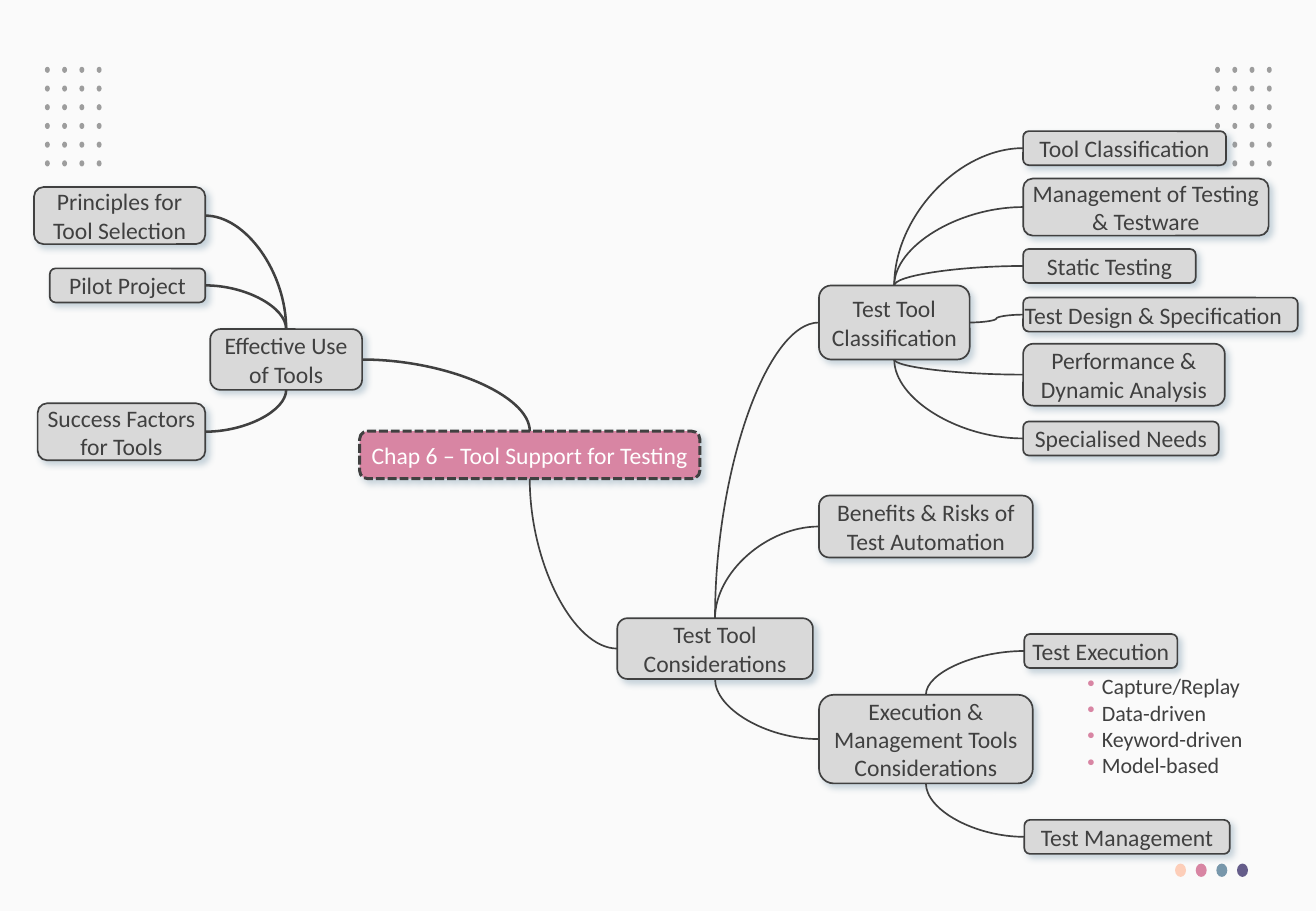
from itertools import product

from lxml import etree
from pptx import Presentation
from pptx.dml.color import RGBColor
from pptx.enum.dml import MSO_LINE
from pptx.enum.shapes import MSO_CONNECTOR, MSO_SHAPE
from pptx.enum.text import MSO_ANCHOR, PP_ALIGN
from pptx.oxml.ns import qn
from pptx.util import Inches, Pt

OVAL, ROUND = MSO_SHAPE.OVAL, MSO_SHAPE.ROUNDED_RECTANGLE
CURVE = MSO_CONNECTOR.CURVE
DASH = MSO_LINE.SQUARE_DOT
LEFT, CENTER = PP_ALIGN.LEFT, PP_ALIGN.CENTER
MIDDLE = MSO_ANCHOR.MIDDLE
SITE = {"top": 0, "left": 1, "bottom": 2, "right": 3}

HEX = {
    "back": "FAFAFA", "dot": "9D9D9D", "ink": "404040", "node": "D9D9D9",
    "white": "FFFFFF", "peach": "FDCEB9", "rose": "D885A3",
    "steel": "7897AB", "plum": "655D8A",
}
FONT = "Calibri"
CELL = 0.1  # inches per grid column and row
COLS, ROWS = 108.3, 75


def grid(*cells):
    return [Inches(n * CELL) for n in cells]


def color(name):
    return RGBColor.from_string(HEX[name])


def write(para, text, size, tint):
    run = para.add_run()
    run.text = text
    run.font.name, run.font.size = FONT, Pt(size)
    run.font.color.rgb = color(tint)


def shade(shape):
    shape.shadow.inherit = False
    effects = shape._element.spPr.find(qn("a:effectLst"))
    outer = etree.SubElement(
        effects, qn("a:outerShdw"), blurRad=str(Pt(4)), dist=str(Pt(3)),
        dir=str(45 * 60000), algn="tl", rotWithShape="0")
    tint = etree.SubElement(outer, qn("a:srgbClr"), val=HEX["steel"])
    etree.SubElement(tint, qn("a:alpha"), val="40000")


def node(slide, box, text, fill="node", ink="ink", align=CENTER):
    shape = slide.shapes.add_shape(ROUND, *grid(*box))
    shape.fill.solid()
    shape.fill.fore_color.rgb = color(fill)
    shape.line.color.rgb = color("ink")
    shape.line.width = Pt(1)
    shade(shape)
    frame = shape.text_frame
    frame.word_wrap = True
    frame.vertical_anchor = MIDDLE
    frame.margin_left = frame.margin_right = 0
    frame.margin_top = frame.margin_bottom = Inches(0.04)
    frame.paragraphs[0].alignment = align
    write(frame.paragraphs[0], text, 14, ink)
    return shape


def link(slide, child, hub):
    """Curve from the child's near side to the side of the hub it faces."""
    dx = child.left + child.width / 2 - hub.left - hub.width / 2
    dy = child.top + child.height / 2 - hub.top - hub.height / 2
    start, face = ("left", "right") if dx > 0 else ("right", "left")
    level = abs(dy) < Inches(CELL)
    end = face if level else "bottom" if dy > 0 else "top"
    line = slide.shapes.add_connector(CURVE, 0, 0, 0, 0)
    line.begin_connect(child, SITE[start])
    line.end_connect(hub, SITE[end])
    line.line.color.rgb = color("ink")
    line.line.width = Pt(1 if dx > 0 else 1.5)
    props = line._element.spPr
    if not level:
        props.find(qn("a:prstGeom")).set("prst", "curvedConnector2")
    etree.SubElement(props, qn("a:effectLst"))


def branch(slide, spot, core, edge, leaves, side=1):
    """Hub with leaves lined up on one edge; side -1 puts them to its left."""
    left, top = spot
    x, y, wide, high, text = core
    hub = node(slide, (left + x, top + y, wide, high), text)
    for y, wide, high, text, align in leaves:
        x = left + edge - (wide if side < 0 else 0)
        leaf = node(slide, (x, top + y, wide, high), text, align=align)
        link(slide, leaf, hub)
    return hub


def dots(slide, spot, pitch, size, tints, skip=()):
    """Group of dots; tints is a list of rows of colour names."""
    group = slide.shapes.add_group_shape()
    for row, col in product(range(len(tints)), range(len(tints[0]))):
        if (row, col) in skip:
            continue
        place = (spot[0] + col * pitch[0], spot[1] + row * pitch[1])
        dot = group.shapes.add_shape(OVAL, *grid(*place, *size))
        dot.fill.solid()
        dot.fill.fore_color.rgb = color(tints[row][col])
        dot.line.fill.background()
        dot.shadow.inherit = False


def bullets(slide, box, items):
    frame = slide.shapes.add_textbox(*grid(*box)).text_frame
    frame.word_wrap = True
    for i, item in enumerate(items):
        para = frame.add_paragraph() if i else frame.paragraphs[0]
        props = para._p.get_or_add_pPr()
        props.set("marL", str(Inches(0.12)))
        props.set("indent", str(-Inches(0.12)))
        tint = etree.SubElement(props, qn("a:buClr"))
        etree.SubElement(tint, qn("a:srgbClr"), val=HEX["rose"])
        etree.SubElement(props, qn("a:buChar"), char="•")
        write(para, item, 13, "ink")


def decor(slide):
    field = [["dot"] * 4] * 6
    dots(slide, (3.7, 5.5), (1.42, 1.54), (0.4, 0.5), field)
    dots(slide, (100, 5.5), (1.42, 1.54), (0.4, 0.5), field, skip={(4, 0)})
    dots(slide, (96.7, 71.1), (1.7, 0), (0.9, 1.1),
         [["peach", "rose", "steel", "plum"]])


def mind_map(slide):
    root = node(slide, (29.6, 35.5, 28, 3.9),
                "Chap 6 – Tool Support for Testing", "rose", "white")
    root.line.width = Pt(1.75)
    root.line.dash_style = DASH

    usage = branch(slide, (2.8, 15.4),
                   (14.5, 11.7, 12.5, 5, "Effective Use of Tools"), 14.1, [
        (0, 14.1, 4.7, "Principles for Tool Selection", CENTER),
        (6.7, 12.8, 2.8, "Pilot Project", CENTER),
        (17.8, 13.8, 4.7, "Success Factors for Tools", CENTER),
    ], side=-1)

    kinds = branch(slide, (67.4, 10.8),
                   (0, 12.7, 12.4, 6.1, "Test Tool Classification"), 16.8, [
        (0, 16.7, 2.8, "Tool Classification", CENTER),
        (3.9, 20.2, 4.7, "Management of Testing & Testware", CENTER),
        (9.7, 14.2, 2.8, "Static Testing", CENTER),
        (13.7, 22.6, 2.8, "Test Design & Specification", LEFT),
        (17.5, 16.6, 5.1, "Performance & Dynamic Analysis", CENTER),
        (23.9, 16.1, 2.8, "Specialised Needs", CENTER),
    ])

    tools = branch(slide, (67.4, 52.2),
                   (0, 5, 17.6, 7.3,
                    "Execution & Management Tools Considerations"), 16.9, [
        (0, 12.6, 2.8, "Test Execution", CENTER),
        (15.3, 16.9, 2.8, "Test Management", CENTER),
    ])
    bullets(slide, (88.5, 54.9, 16.4, 9.8),
            ["Capture/Replay", "Data-driven", "Keyword-driven", "Model-based"])

    aims = node(slide, (50.8, 50.9, 16.1, 5), "Test Tool Considerations")
    risks = node(slide, (67.4, 40.8, 17.6, 5.1),
                 "Benefits & Risks of Test Automation")
    for child in (usage, aims):
        link(slide, child, root)
    for child in (kinds, risks, tools):
        link(slide, child, aims)


def main():
    deck = Presentation()
    deck.slide_width, deck.slide_height = grid(COLS, ROWS)
    slide = deck.slides.add_slide(deck.slide_layouts.get_by_name("Blank"))
    slide.background.fill.solid()
    slide.background.fill.fore_color.rgb = color("back")
    decor(slide)
    mind_map(slide)
    deck.save("out.pptx")


if __name__ == "__main__":
    main()
